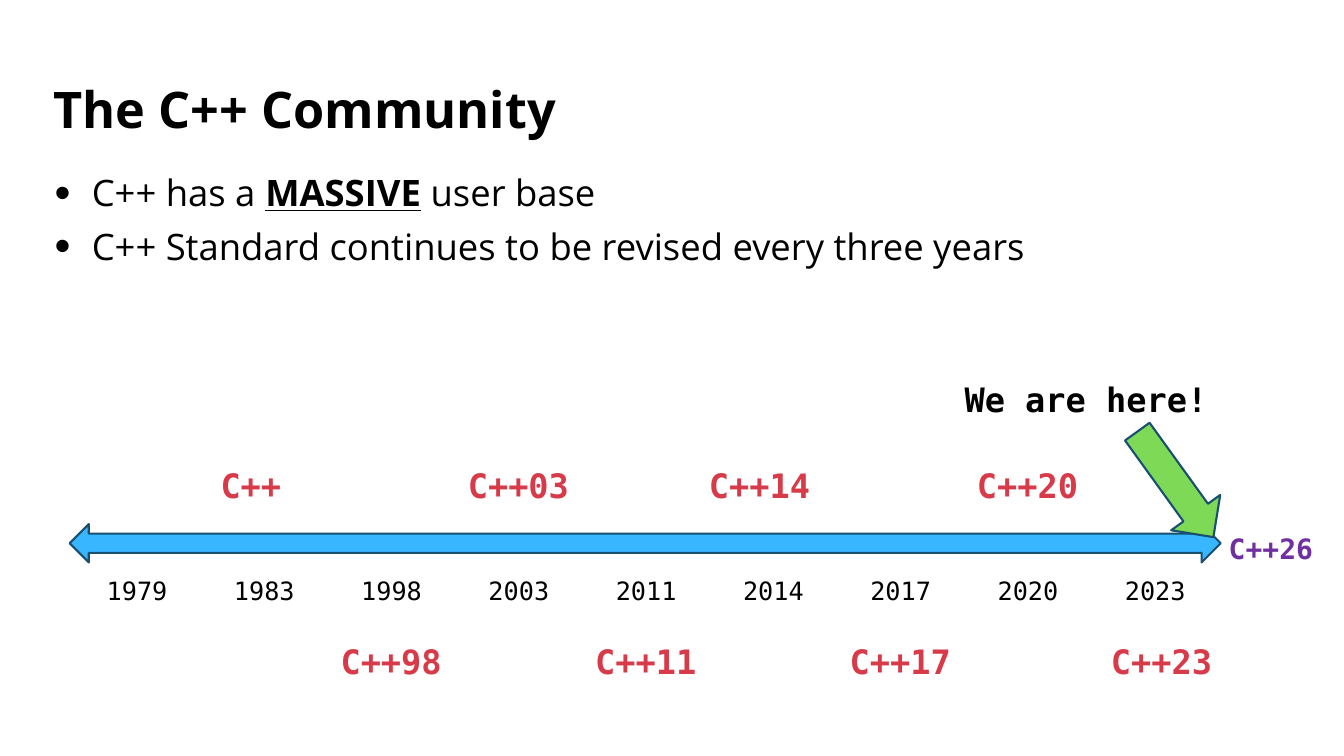
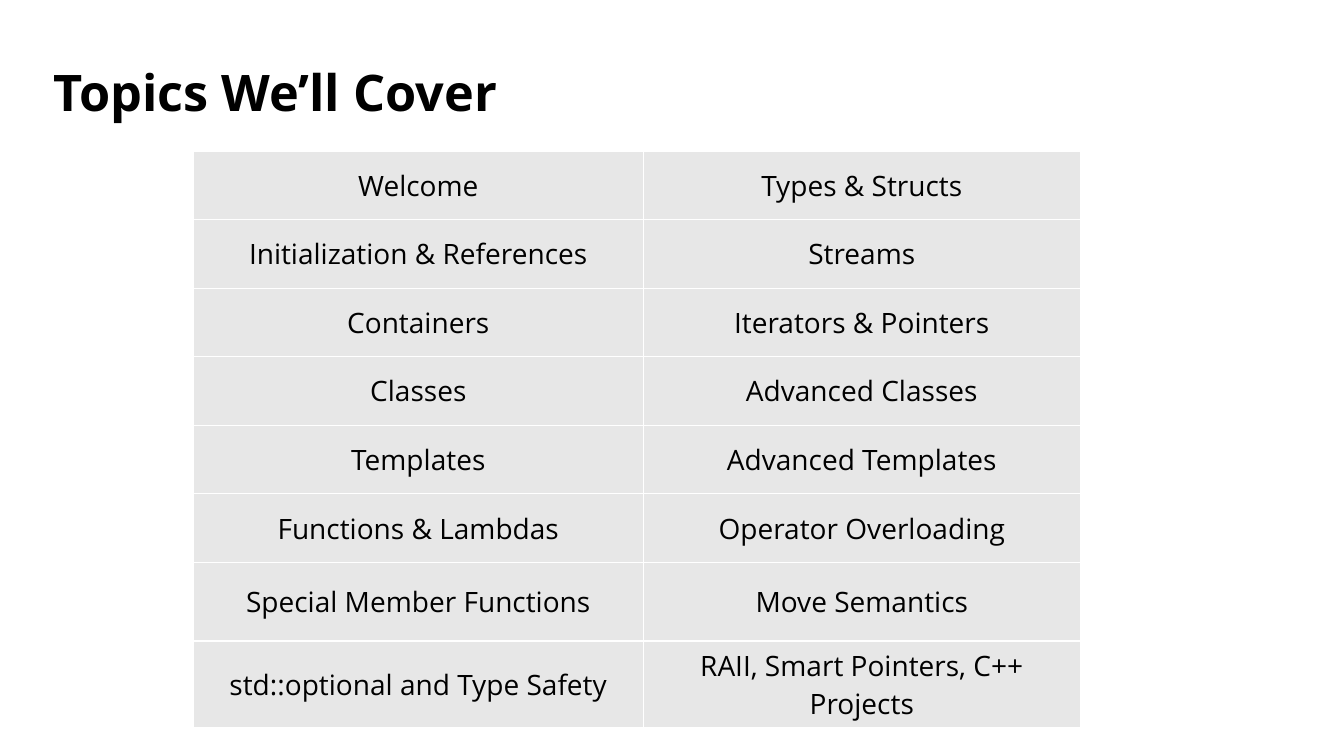
from pptx import Presentation
from pptx.dml.color import RGBColor
from pptx.enum.shapes import MSO_SHAPE
from pptx.enum.text import MSO_ANCHOR, MSO_AUTO_SIZE, PP_ALIGN
from pptx.oxml import parse_xml
from pptx.oxml.ns import nsdecls
from pptx.util import Inches, Pt

LEFT, CENTER = PP_ALIGN.LEFT, PP_ALIGN.CENTER
MIDDLE = MSO_ANCHOR.MIDDLE
NO_FIT = MSO_AUTO_SIZE.NONE
TWO_WAY, DOWN = MSO_SHAPE.LEFT_RIGHT_ARROW, MSO_SHAPE.DOWN_ARROW

SANS, MONO = "Open Sans", "DejaVu Sans Mono"
BLACK, WHITE, GREY = "000000", "FFFFFF", "E7E7E7"
RED, PURPLE, BLUE, GREEN, NAVY = "D73A48", "7030A0", "38B6FF", "7ED957", "195070"
MARGIN, CONTENT_W = 3.23, 93.53
rgb = RGBColor.from_string

prs = Presentation()
prs.slide_width, prs.slide_height = Inches(13.33), Inches(7.5)


def at(x, y, w, h):
    """Turn percentages of the slide's size into lengths."""
    sw, sh = prs.slide_width / 100, prs.slide_height / 100
    return int(x * sw), int(y * sh), int(w * sw), int(h * sh)


def style(p, size, name=SANS, color=BLACK, bold=False):
    for r in p.runs:
        r.font.size, r.font.name, r.font.bold = Pt(size), name, bold
        r.font.color.rgb = rgb(color)


slides = []
for layout, title, top in [(1, "The C++ Community", 9.2), (5, "Topics We’ll Cover", 6.93)]:
    s = prs.slides.add_slide(prs.slide_layouts[layout])
    sp = s.shapes.title
    sp.left, sp.top, sp.width, sp.height = at(MARGIN, top, CONTENT_W, 11.2)
    tf = sp.text_frame
    tf.text = title
    tf.auto_size, tf.vertical_anchor = NO_FIT, MIDDLE
    p = tf.paragraphs[0]
    p.alignment, p.line_spacing = LEFT, 0.9
    style(p, 36, bold=True)
    slides.append(s)
community, topics = slides

sp = community.placeholders[1]
sp.left, sp.top, sp.width, sp.height = at(MARGIN, 22.53, CONTENT_W, 69.73)
tf = sp.text_frame
tf.auto_size = NO_FIT
bullets = [
    ["C++ has a ", "MASSIVE", " user base"],
    ["C++ Standard continues to be revised every three years"],
]
for i, parts in enumerate(bullets):
    p = tf.add_paragraph() if i else tf.paragraphs[0]
    p.line_spacing, p.space_before = 0.9, Pt(10 if i else 0)
    pPr = p._p.get_or_add_pPr()
    pPr.set("marL", str(Inches(0.38)))
    pPr.set("indent", str(Inches(-0.37)))
    pPr.append(parse_xml(f'<a:buSzPct {nsdecls("a")} val="125000"/>'))
    pPr.append(parse_xml(f'<a:buChar {nsdecls("a")} char="•"/>'))
    for part in parts:
        p.add_run().text = part
    style(p, 26)
massive = tf.paragraphs[0].runs[1].font
massive.bold = massive.underline = True

for kind, box, fill, turn in [
    (TWO_WAY, (5.18, 69.33, 85.65, 5.07), BLUE, 0),
    (DOWN, (85.2, 55.47, 4.5, 17.2), GREEN, 324.2),
]:
    sp = community.shapes.add_shape(kind, *at(*box))
    sp.shadow.inherit = False
    sp.rotation = turn
    sp.fill.solid()
    sp.fill.fore_color.rgb = rgb(fill)
    sp.line.color.rgb, sp.line.width = rgb(NAVY), Pt(1.5)

labels = [
    ("We are here!", (71.03, 49.47, 19.88, 6.67), 24, BLACK, True),
    ("C++26", (90.68, 69.6, 9.3, 5.87), 20, PURPLE, True),
]
FIRST_YEAR, PITCH, YEAR_W = 7.2, 9.47, 6.9
timeline = [
    ("1979", "", 0), ("1983", "C++", -1), ("1998", "C++98", 0),
    ("2003", "C++03", 0), ("2011", "C++11", 0), ("2014", "C++14", -1),
    ("2017", "C++17", 0), ("2020", "C++20", 0), ("2023", "C++23", 0.5),
]
for i, (year, release, nudge) in enumerate(timeline):
    x = FIRST_YEAR + i * PITCH
    labels.append((year, (x, 75.47, YEAR_W, 5.33), 18, BLACK, False))
    if release:
        w = 2.28 + 1.54 * len(release)
        y = 60.8 if i % 2 else 84.13
        labels.append((release, (x + (YEAR_W - w) / 2 + nudge, y, w, 6.67), 24, RED, True))

for text, box, size, color, bold in labels:
    tf = community.shapes.add_textbox(*at(*box)).text_frame
    tf.word_wrap = True
    tf.text = text
    style(tf.paragraphs[0], size, MONO, color, bold)

rows = [
    ("Welcome", "Types & Structs"),
    ("Initialization & References", "Streams"),
    ("Containers", "Iterators & Pointers"),
    ("Classes", "Advanced Classes"),
    ("Templates", "Advanced Templates"),
    ("Functions & Lambdas", "Operator Overloading"),
    ("Special Member Functions", "Move Semantics"),
    ("std::optional and Type Safety", "RAII, Smart Pointers, C++ Projects"),
]
col_w = [33.45, 32.55]
row_h = [9.07] * 6 + [10.4] * 2
table = topics.shapes.add_table(
    len(rows), len(col_w), *at(14.4, 20, sum(col_w), sum(row_h))
).table
table.first_row = table.horz_banding = False
for col, w in zip(table.columns, col_w):
    col.width = at(0, 0, w, 0)[2]
for row, h, texts in zip(table.rows, row_h, rows):
    row.height = at(0, 0, 0, h)[3]
    for cell, text in zip(row.cells, texts):
        cell.text = text
        cell.vertical_anchor = MIDDLE
        p = cell.text_frame.paragraphs[0]
        p.alignment = CENTER
        style(p, 20)
        tcPr = cell._tc.get_or_add_tcPr()
        for side in "LRTB":
            tcPr.append(parse_xml(
                f'<a:ln{side} {nsdecls("a")} w="{Pt(1)}"><a:solidFill>'
                f'<a:srgbClr val="{WHITE}"/></a:solidFill></a:ln{side}>'
            ))
        cell.fill.solid()
        cell.fill.fore_color.rgb = rgb(GREY)

prs.save("out.pptx")
